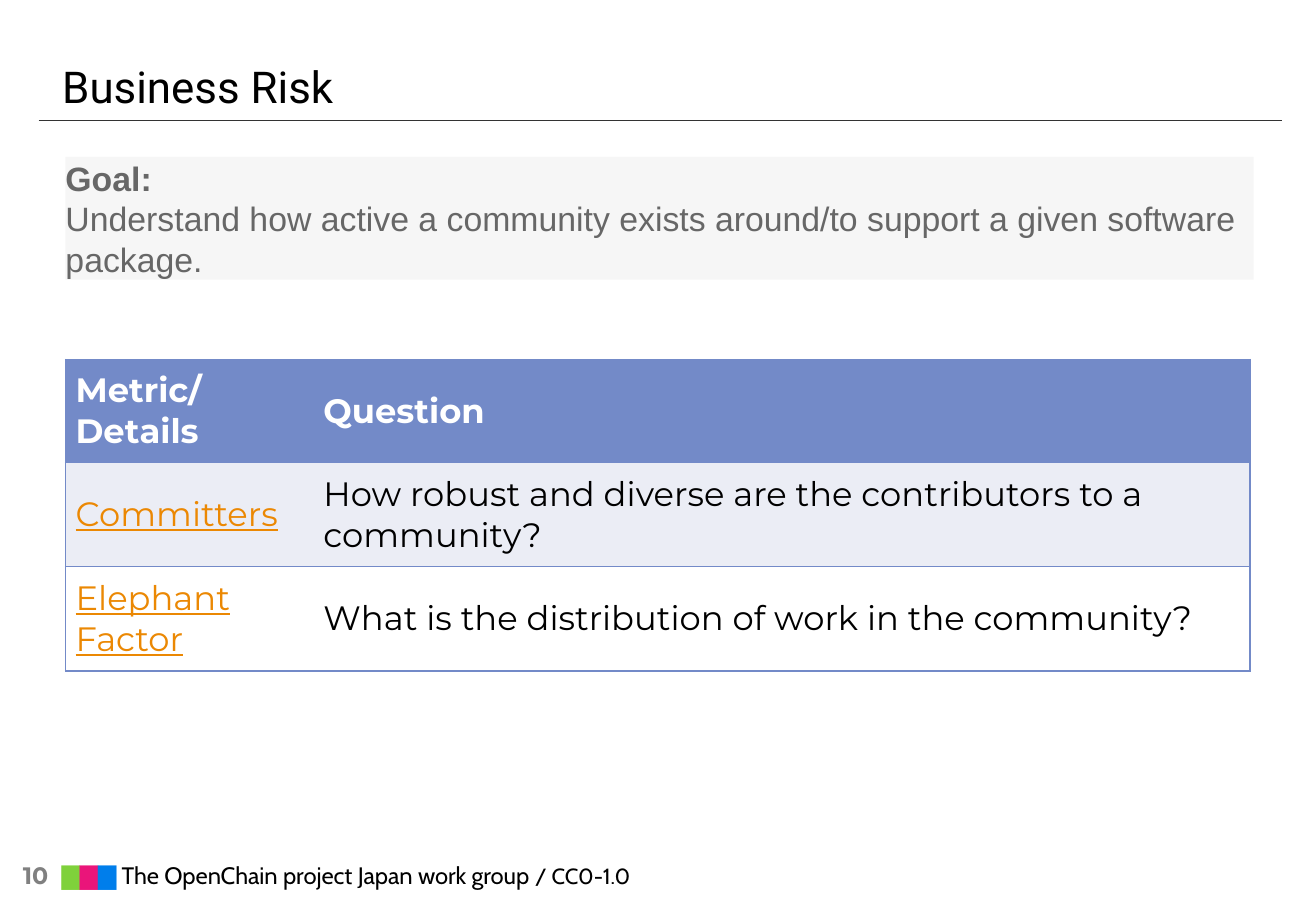
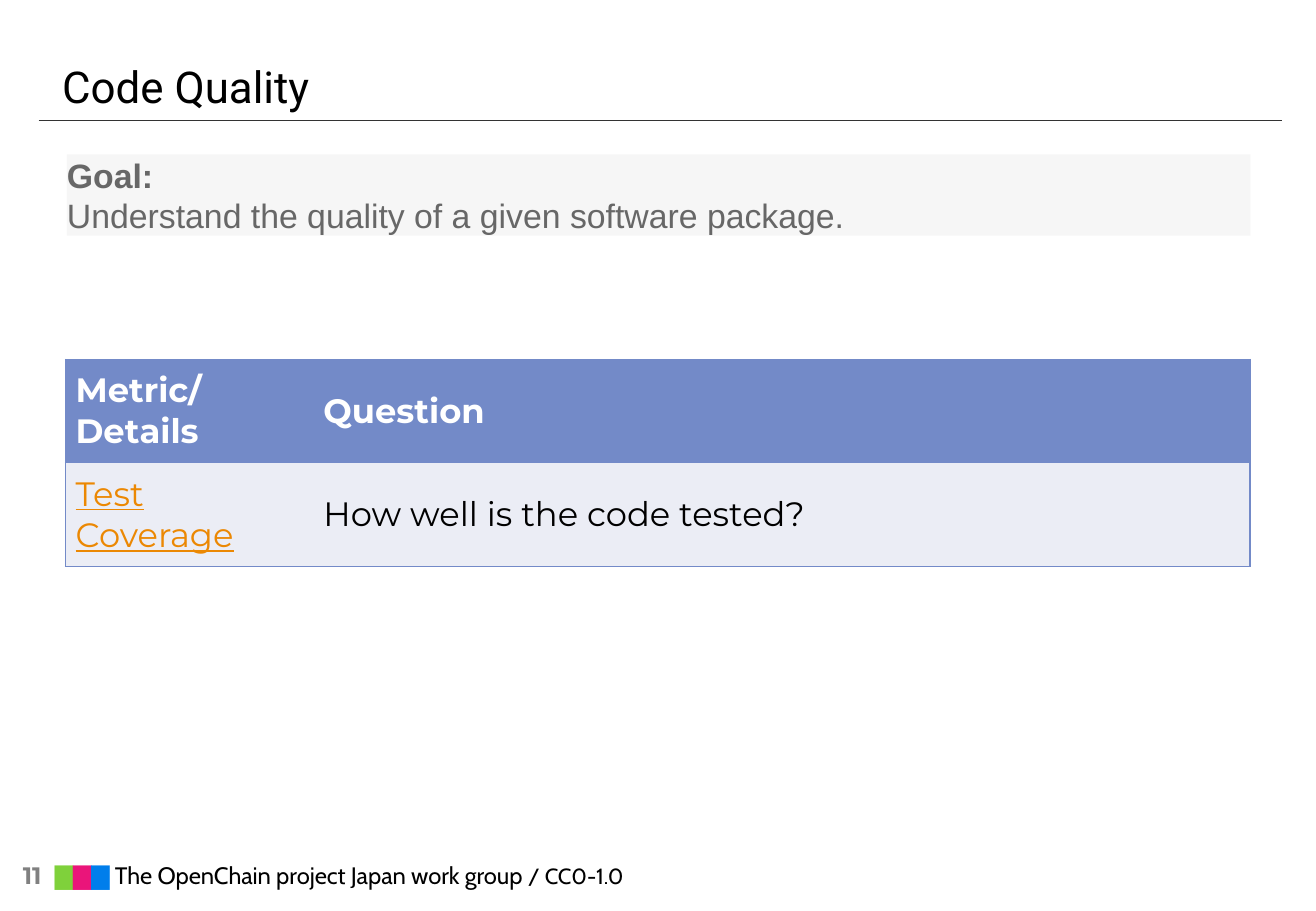
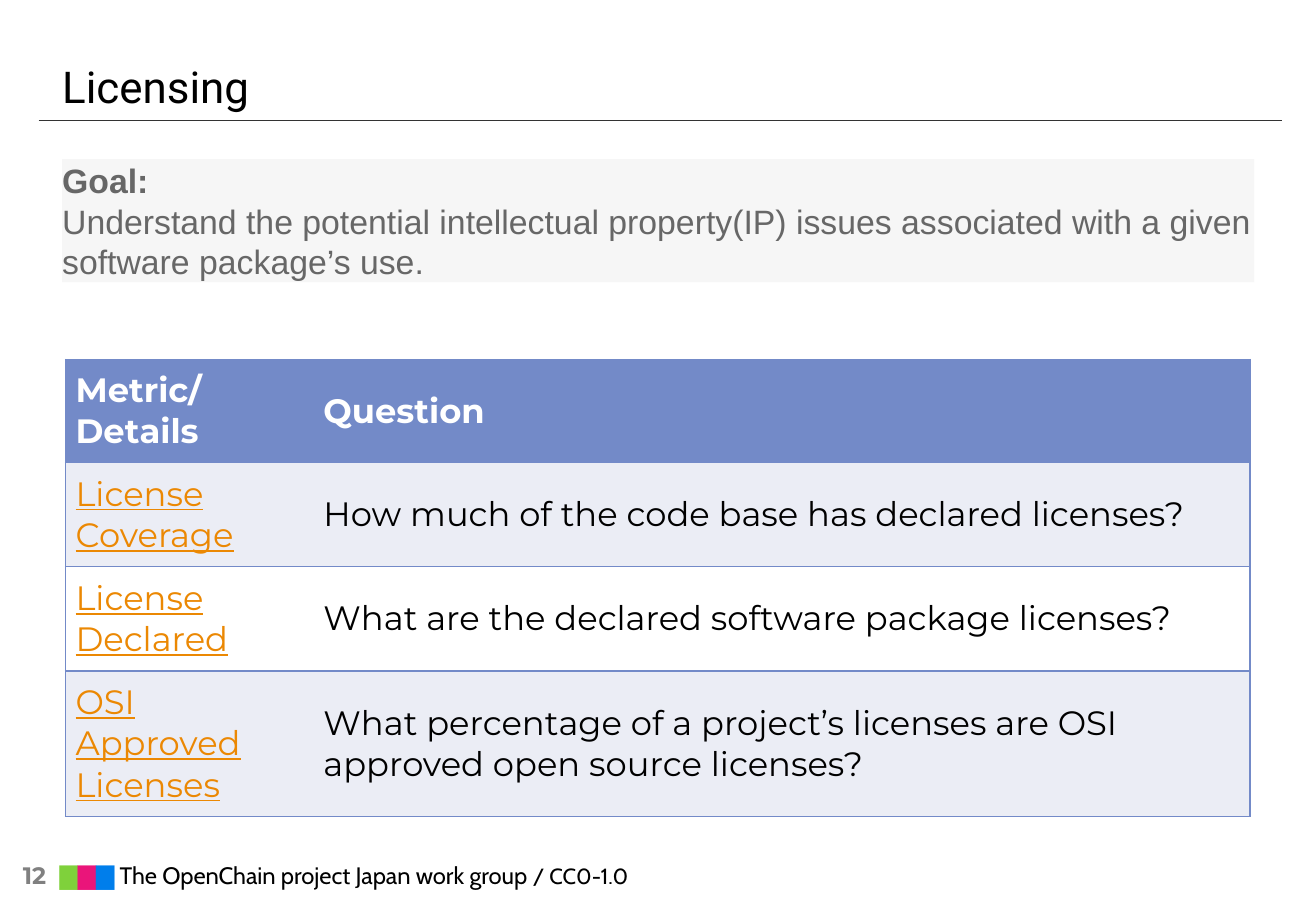
"""Build three slides of community metrics, each with a goal and a table."""
from pptx import Presentation
from pptx.dml.color import RGBColor
from pptx.enum.shapes import MSO_CONNECTOR as Link, MSO_SHAPE as Shape
from pptx.enum.text import MSO_ANCHOR as Anchor, MSO_AUTO_SIZE as Auto, PP_ALIGN as Align
from pptx.oxml.ns import qn
from pptx.util import Cm, Pt
from lxml.etree import SubElement

BLUE, PALE, WHITE, BLACK = "738AC8", "EBEDF5", "FFFFFF", "000000"
HEAD = {"name": "Montserrat", "size": Pt(20), "bold": True, "color": WHITE}
BODY = HEAD | {"bold": False, "color": BLACK}
TERM = BODY | {"underline": True, "color": "EB8803"}
TITLE = {"name": "Roboto", "size": Pt(26), "color": BLACK}
GOAL = {"name": "Arial", "size": Pt(20), "color": "676767"}
PAGE = {"name": "Montserrat", "size": Pt(14.1), "bold": True, "color": "808080"}
FOOT = {"name": "Cabin", "size": Pt(14.1), "bold": False}
MARKS = [("▇", "7FD13B"), ("▇", "EA157A"), ("▇ ", "007EEB"),
         ("The OpenChain project Japan work group ", BLACK)]
FLAT = {"margin_left": 0, "margin_right": 0, "margin_top": 0, "margin_bottom": 0,
        "word_wrap": True, "auto_size": Auto.NONE, "vertical_anchor": Anchor.MIDDLE}
CELL = {"margin_left": Cm(0.21), "margin_right": Cm(0.21), "margin_top": Cm(0.21),
        "margin_bottom": Cm(0.21), "vertical_anchor": Anchor.MIDDLE}
COLS = (5.18, 19.58)
SLIDES = [
    ("Business Risk", (1.37, 3.28, 24.84, 2.57),
     "Understand how active a community exists around/to support a given software package.",
     [("Committers", "How robust and diverse are the contributors to a community?", 2.18),
      ("Elephant Factor", "What is the distribution of work in the community?", 2.18)]),
    ("Code Quality", (1.4, 3.23, 24.74, 1.7),
     "Understand the quality of a given software package.",
     [("Test Coverage", "How well is the code tested?", 2.18)]),
    ("Licensing", (1.3, 3.33, 24.92, 2.57),
     "Understand the potential intellectual property(IP) issues associated with "
     "a given software package’s use.",
     [("License Coverage", "How much of the code base has declared licenses?", 2.18),
      ("License Declared", "What are the declared software package licenses?", 2.18),
      ("OSI Approved Licenses",
       "What percentage of a project’s licenses are OSI approved open source licenses?", 3.04)]),
]


def rgb(code):
    """Turn a hex string into a colour."""
    return RGBColor.from_string(code)


def style(item, form):
    """Set each format value on an item."""
    for key, value in form.items():
        if key == "color":
            item.color.rgb = rgb(value)
        else:
            setattr(item, key, value)


def place(item, box):
    """Move and size an item, in centimetres."""
    style(item, dict(zip(("left", "top", "width", "height"), map(Cm, box))))


def write(para, text, form):
    """Add a styled run to a left-aligned paragraph."""
    para.alignment = Align.LEFT
    run = para.add_run()
    run.text = text
    style(run.font, form)
    return run


def add_title(slide, text):
    """Fill the title placeholder and rule a line below it."""
    title = slide.shapes.title
    place(title, (1.3, 0.13, 24.92, 2.21))
    style(title.text_frame, FLAT | {"vertical_anchor": Anchor.BOTTOM})
    write(title.text_frame.paragraphs[0], text, TITLE)
    rule = slide.shapes.add_connector(Link.STRAIGHT, Cm(0.81), Cm(2.51), Cm(26.8), Cm(2.51))
    style(rule.line, {"color": "333333", "width": Pt(0.25)})
    SubElement(rule._element.spPr, qn("a:effectLst"))


def add_foot(slide, page):
    """Add the page number, colour marks and group name."""
    foot = slide.shapes.add_textbox(*map(Cm, (0.48, 17.81, 14.6, 0.99)))
    style(foot.text_frame, FLAT)
    para = foot.text_frame.paragraphs[0]
    write(para, str(page), PAGE)
    gap = write(para, " ", PAGE)
    gap.font._element.set("spc", "400")
    for text, code in MARKS:
        write(para, text, FOOT | {"color": code})
    write(para, "/ CC0-1.0", FOOT | {"size": Pt(13), "color": BLACK})


def add_goal(slide, box, text):
    """Add the grey goal panel."""
    panel = slide.shapes.add_shape(Shape.RECTANGLE, *map(Cm, box))
    panel.shadow.inherit = False
    panel.fill.solid()
    panel.fill.fore_color.rgb = rgb("F6F6F6")
    panel.line.fill.background()
    style(panel.text_frame, FLAT | {"auto_size": Auto.SHAPE_TO_FIT_TEXT})
    para = panel.text_frame.paragraphs[0]
    write(para, "Goal:", GOAL | {"bold": True})
    para.add_line_break()
    write(para, text, GOAL | {"bold": False})


def edge(cell, side, shown):
    """Draw or clear one border of a cell."""
    line = SubElement(cell._tc.get_or_add_tcPr(), qn("a:ln" + side), w=str(Pt(1)))
    if shown:
        fill = SubElement(line, qn("a:solidFill"))
        SubElement(fill, qn("a:srgbClr"), val=BLUE)
    else:
        SubElement(line, qn("a:noFill"))


def fill_cell(cell, text, form, code, outer):
    """Write a cell, rule its borders and colour it."""
    style(cell, CELL)
    write(cell.text_frame.paragraphs[0], text, form)
    for side in "LRTB":
        edge(cell, side, side in "TB" or side == outer)
    cell.fill.solid()
    cell.fill.fore_color.rgb = rgb(code)


def add_grid(slide, rows):
    """Add the table of metrics and questions."""
    rows = [("Metric/Details", "Question", 2.15), *rows]
    tall = sum(row[2] for row in rows)
    grid = slide.shapes.add_table(
        len(rows), 2, Cm(1.37), Cm(7.52), Cm(sum(COLS)), Cm(tall)).table
    style(grid, {"first_row": False, "horz_banding": False})
    for col, wide in zip(grid.columns, COLS):
        col.width = Cm(wide)
    for at, (term, text, high) in enumerate(rows):
        grid.rows[at].height = Cm(high)
        forms = (TERM, BODY) if at else (HEAD, HEAD)
        code = (PALE if at % 2 else WHITE) if at else BLUE
        for col, (word, form) in enumerate(zip((term, text), forms)):
            fill_cell(grid.cell(at, col), word, form, code, "LR"[col])


def main():
    """Build and save the slides."""
    deck = Presentation()
    style(deck, {"slide_width": Cm(27.51), "slide_height": Cm(19.05)})
    for page, (title, box, goal, rows) in enumerate(SLIDES, 10):
        slide = deck.slides.add_slide(deck.slide_layouts[5])
        add_title(slide, title)
        add_foot(slide, page)
        add_grid(slide, rows)
        add_goal(slide, box, goal)
    deck.save("out.pptx")


if __name__ == "__main__":
    main()
